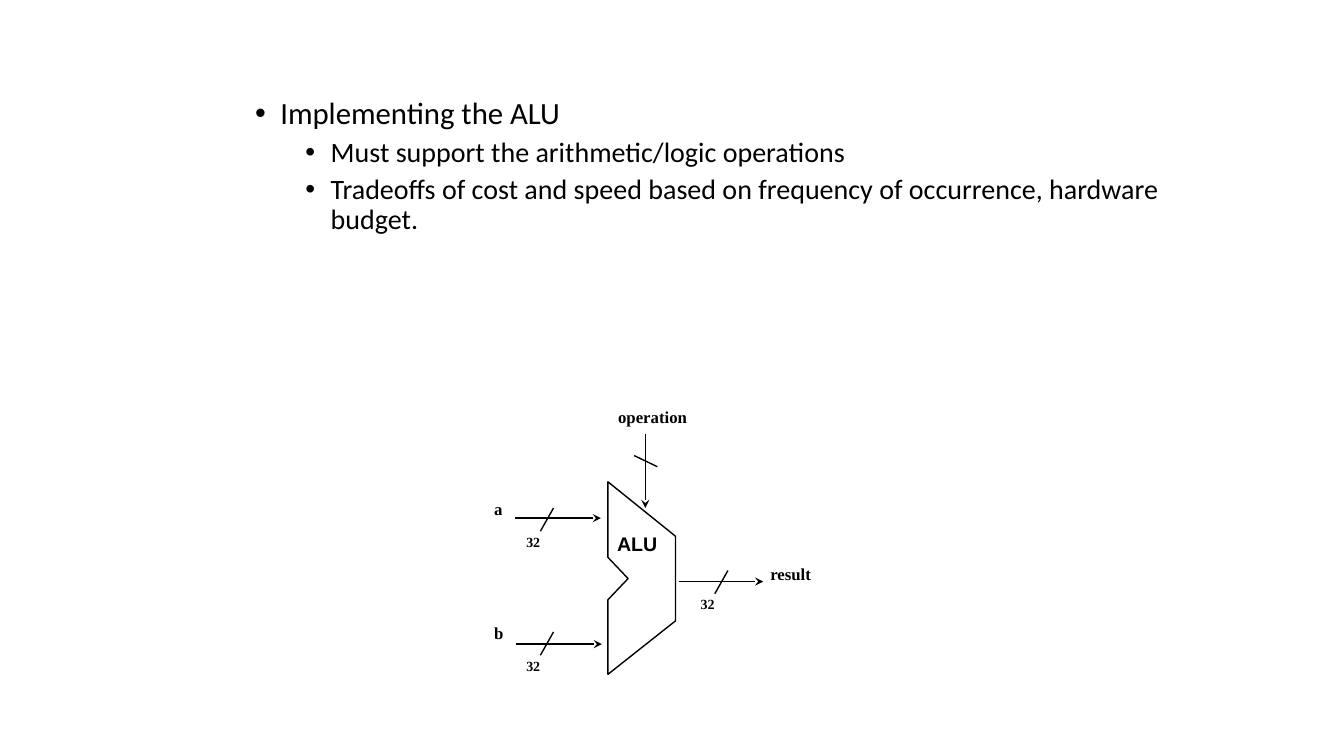
import pptx
import pptx.dml.color
import pptx.enum.shapes
import pptx.enum.text
import pptx.oxml
import pptx.oxml.ns
import pptx.util
from dataclasses import dataclass
from pptx.util import Inches


@dataclass(frozen=True)
class Theme:
    ink: pptx.dml.color.RGBColor = pptx.dml.color.RGBColor(0, 0, 0)
    body_font: str = "Calibri"
    signal_font: str = "Times New Roman"
    unit_font: str = "Arial"
    topic_size: int = 22
    point_size: int = 20
    unit_size: int = 14
    signal_size: int = 12
    width_size: int = 10
    stroke: int = 1


theme = Theme()


def write(para, text, *, font, size, bold=False, line=None, before=0, after=0):
    """Fill a paragraph; line is a multiple if a float, a fixed height if a Pt."""
    para.line_spacing = line
    para.space_before = pptx.util.Pt(before)
    para.space_after = pptx.util.Pt(after)
    span = para.add_run()
    span.text = text
    span.font.name = font
    span.font.size = pptx.util.Pt(size)
    span.font.bold = bold
    span.font.color.rgb = theme.ink


def draw_line(start, end, arrow=False):
    line = slide.shapes.add_connector(
        pptx.enum.shapes.MSO_CONNECTOR.STRAIGHT,
        *(Inches(value) for value in (*start, *end)))
    line.line.color.rgb = theme.ink
    line.line.width = pptx.util.Pt(theme.stroke)
    if arrow:
        pptx.oxml.ns.qn("a:tailEnd")
        line.line._get_or_add_ln().append(pptx.oxml.parse_xml(
            '<a:tailEnd xmlns:a="http://schemas.openxmlformats.org/drawingml/2006/main"'
            ' type="stealth"/>'))
    properties = line._element.spPr
    properties.append(properties.makeelement(pptx.oxml.ns.qn("a:effectLst"), {}))


deck = pptx.Presentation()
deck.slide_width = Inches(13.33)
deck.slide_height = Inches(7.5)
slide = deck.slides.add_slide(deck.slide_layouts[1])
title = slide.shapes.title._element
title.getparent().remove(title)

# Bulleted list
body = slide.placeholders[1]
body.left, body.top = Inches(2.43), Inches(0.92)
body.width, body.height = Inches(9.17), Inches(2.14)
body.text_frame.auto_size = pptx.enum.text.MSO_AUTO_SIZE.NONE
points = [
    (0, "Implementing the ALU"),
    (1, "Must support the arithmetic/logic operations"),
    (1, "Tradeoffs of cost and speed based on frequency of occurrence, hardware budget."),
]
for index, (level, text) in enumerate(points):
    para = body.text_frame.add_paragraph() if index else body.text_frame.paragraphs[0]
    para.level = level
    write(para, text, font=theme.body_font, line=0.9,
          size=theme.point_size if level else theme.topic_size,
          before=5 if level else 10)
    indents = para._p.get_or_add_pPr()
    indents.set("marL", str(Inches(0.25 + 0.5 * level)))
    indents.set("indent", str(Inches(-0.25)))
    for tag, name, value in (("a:buFont", "typeface", "Arial"), ("a:buChar", "char", "•")):
        indents.append(indents.makeelement(pptx.oxml.ns.qn(tag), {name: value}))

# ALU outline
corners = [(6.03, 4.78), (6.03, 5.53), (6.23, 5.74), (6.03, 5.95),
           (6.03, 6.69), (6.7, 6.16), (6.7, 5.32)]
outline = slide.shapes.build_freeform(
    Inches(corners[0][0]), Inches(corners[0][1]), scale=1.0)
outline.add_line_segments(
    [(Inches(x), Inches(y)) for x, y in corners[1:]], close=True)
alu = outline.convert_to_shape()
alu.shadow.inherit = False
alu.fill.background()
alu.line.color.rgb = theme.ink
alu.line.width = pptx.util.Pt(theme.stroke)

# Arrows and bus slashes; every data bus is 32 bits wide
signal_style = dict(font=theme.signal_font, size=theme.signal_size, bold=True,
                    line=pptx.util.Pt(18), before=6, after=6)
width_style = dict(font=theme.signal_font, size=theme.width_size, bold=True,
                   line=pptx.util.Pt(12))
unit_style = dict(font=theme.unit_font, size=theme.unit_size, bold=True,
                  line=pptx.util.Pt(16))
labels = [
    ("operation", (6.11, 3.96, 1.29, 0.55), signal_style),
    ("result", (7.62, 5.51, 0.86, 0.55), signal_style),
    ("a", (4.88, 4.87, 0.55, 0.55), signal_style),
    ("b", (4.88, 6.1, 0.55, 0.55), signal_style),
    ("ALU", (6.1, 5.26, 0.78, 0.34), unit_style),
]
buses = [  # arrow start, arrow end, top of slash
    ((5.11, 5.14), (5.96, 5.14), (5.49, 5.04)),
    ((5.12, 6.39), (5.97, 6.39), (5.49, 6.27)),
    ((6.73, 5.77), (7.57, 5.77), (7.22, 5.66)),
]
for start, end, (x, y) in buses:
    draw_line(start, end, arrow=True)
    draw_line((x, y), (x - 0.13, y + 0.23))
    labels.append(("32", (x - 0.29, y + 0.22, 0.64, 0.3), width_style))
draw_line((6.4, 4.31), (6.4, 5.04), arrow=True)
draw_line((6.29, 4.52), (6.52, 4.63))

# Labels
for text, bounds, style in labels:
    box = slide.shapes.add_textbox(*(Inches(value) for value in bounds))
    frame = box.text_frame
    frame.word_wrap = True
    frame.margin_left = frame.margin_right = Inches(0.02)
    frame.margin_top = frame.margin_bottom = Inches(0.03)
    write(frame.paragraphs[0], text, **style)

deck.save("out.pptx")
